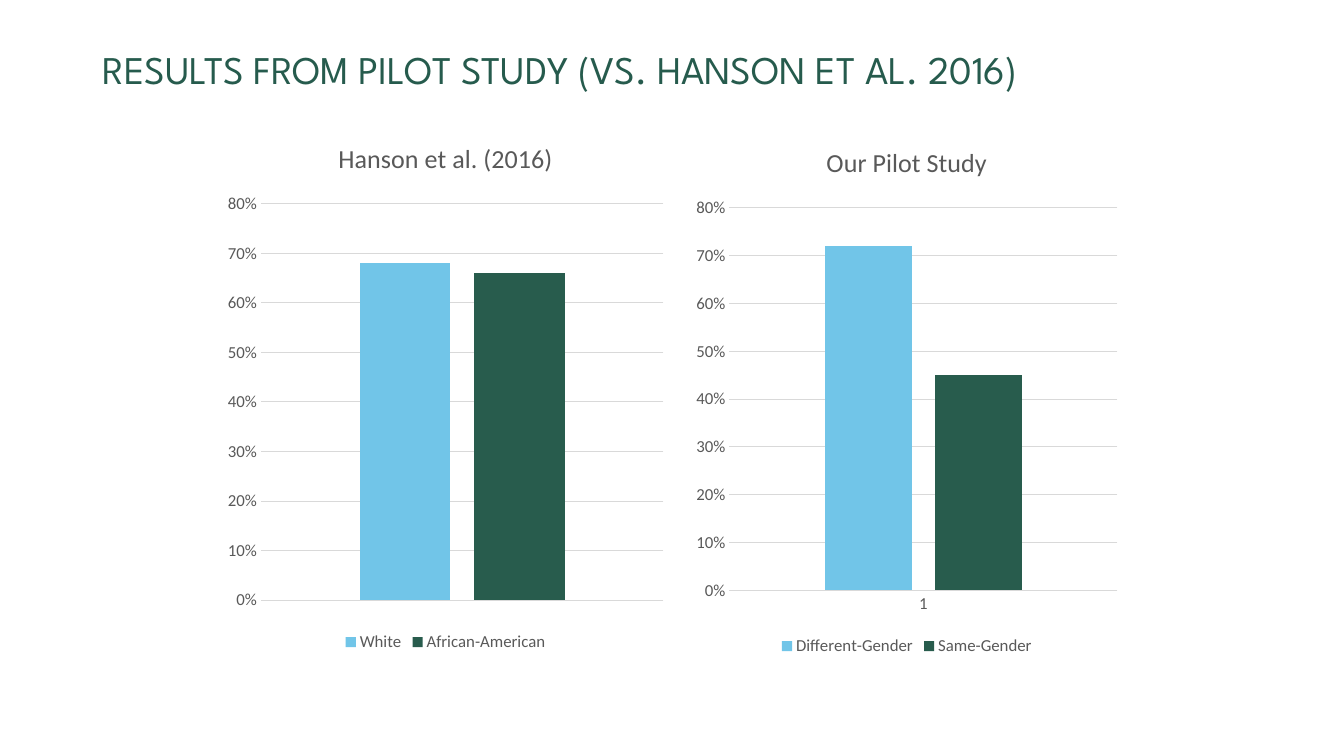
from dataclasses import dataclass

from pptx import Presentation
from pptx.chart.data import CategoryChartData
from pptx.dml.color import RGBColor
from pptx.enum.chart import XL_CHART_TYPE, XL_LEGEND_POSITION, XL_TICK_MARK
from pptx.enum.text import MSO_ANCHOR, PP_ALIGN
from pptx.util import Inches, Pt

COLUMNS = XL_CHART_TYPE.COLUMN_CLUSTERED
BOTTOM = XL_LEGEND_POSITION.BOTTOM
NO_TICK = XL_TICK_MARK.NONE
MIDDLE = MSO_ANCHOR.MIDDLE
LEFT = PP_ALIGN.LEFT


@dataclass(frozen=True)
class Theme:
    title_font: str = "League Spartan"
    chart_font: str = "Calibri"
    title_color: str = "265B4D"
    label_color: str = "595959"
    grid_color: str = "D9D9D9"
    series_colors: tuple = ("71C5E8", "285C4D")
    title_size: float = 28
    chart_title_size: float = 18.6
    label_size: float = 12
    grid_width: float = 0.75


class SlideBuilder:
    def __init__(self, prs, theme):
        self.theme = theme
        self.slide = prs.slides.add_slide(prs.slide_layouts[5])

    def style_font(self, font, name, size, color):
        font.name = name
        font.size = Pt(size)
        font.bold = False
        font.color.rgb = RGBColor.from_string(color)

    def style_line(self, line):
        line.color.rgb = RGBColor.from_string(self.theme.grid_color)
        line.width = Pt(self.theme.grid_width)

    def title(self, text, left, top, width, height):
        t = self.theme
        sp = self.slide.shapes.title
        sp.left, sp.top = Inches(left), Inches(top)
        sp.width, sp.height = Inches(width), Inches(height)
        tf = sp.text_frame
        tf.text = text
        tf.word_wrap = True
        tf.vertical_anchor = MIDDLE
        p = tf.paragraphs[0]
        p.alignment = LEFT
        p.line_spacing = 0.9
        self.style_font(p.runs[0].font, t.title_font, t.title_size, t.title_color)

    def column_chart(self, title, series, left, top, width, height, show_categories):
        t = self.theme
        data = CategoryChartData(number_format="0%")
        data.categories = ["1"]
        for name, value in series:
            data.add_series(name, [value])
        chart = self.slide.shapes.add_chart(
            COLUMNS, Inches(left), Inches(top), Inches(width), Inches(height), data
        ).chart
        self.style_font(chart.font, t.chart_font, t.label_size, t.label_color)

        chart.has_title = True
        tf = chart.chart_title.text_frame
        tf.text = title
        self.style_font(tf.paragraphs[0].runs[0].font, t.chart_font,
                        t.chart_title_size, t.label_color)
        chart.chart_title.include_in_layout = False

        chart.has_legend = True
        chart.legend.position = BOTTOM
        chart.legend.include_in_layout = False

        plot = chart.plots[0]
        plot.gap_width = 219
        plot.overlap = -27
        plot.vary_by_categories = False
        for column, color in zip(plot.series, t.series_colors):
            column.format.fill.solid()
            column.format.fill.fore_color.rgb = RGBColor.from_string(color)

        values = chart.value_axis
        values.minimum_scale, values.maximum_scale = 0, 0.8
        values.major_unit = 0.1
        values.major_tick_mark = NO_TICK
        values.tick_labels.number_format = "0%"
        values.tick_labels.number_format_is_linked = False
        values.format.line.fill.background()
        self.style_line(values.major_gridlines.format.line)

        categories = chart.category_axis
        categories.visible = show_categories
        categories.major_tick_mark = NO_TICK
        self.style_line(categories.format.line)


def main():
    prs = Presentation()
    prs.slide_width, prs.slide_height = Inches(13.33), Inches(7.5)
    s = SlideBuilder(prs, Theme())
    s.title("RESULTS FROM PILOT STUDY (VS. HANSON ET AL. 2016)", 0.92, -0.01, 11.5, 1.45)
    s.column_chart("Hanson et al. (2016)", [("White", 0.68), ("African-American", 0.66)],
                   2.17, 1.18, 4.5, 5.33, show_categories=False)
    s.column_chart("Our Pilot Study", [("Different-Gender", 0.72), ("Same-Gender", 0.45)],
                   6.82, 1.22, 4.35, 5.33, show_categories=True)
    prs.save("out.pptx")


if __name__ == "__main__":
    main()
